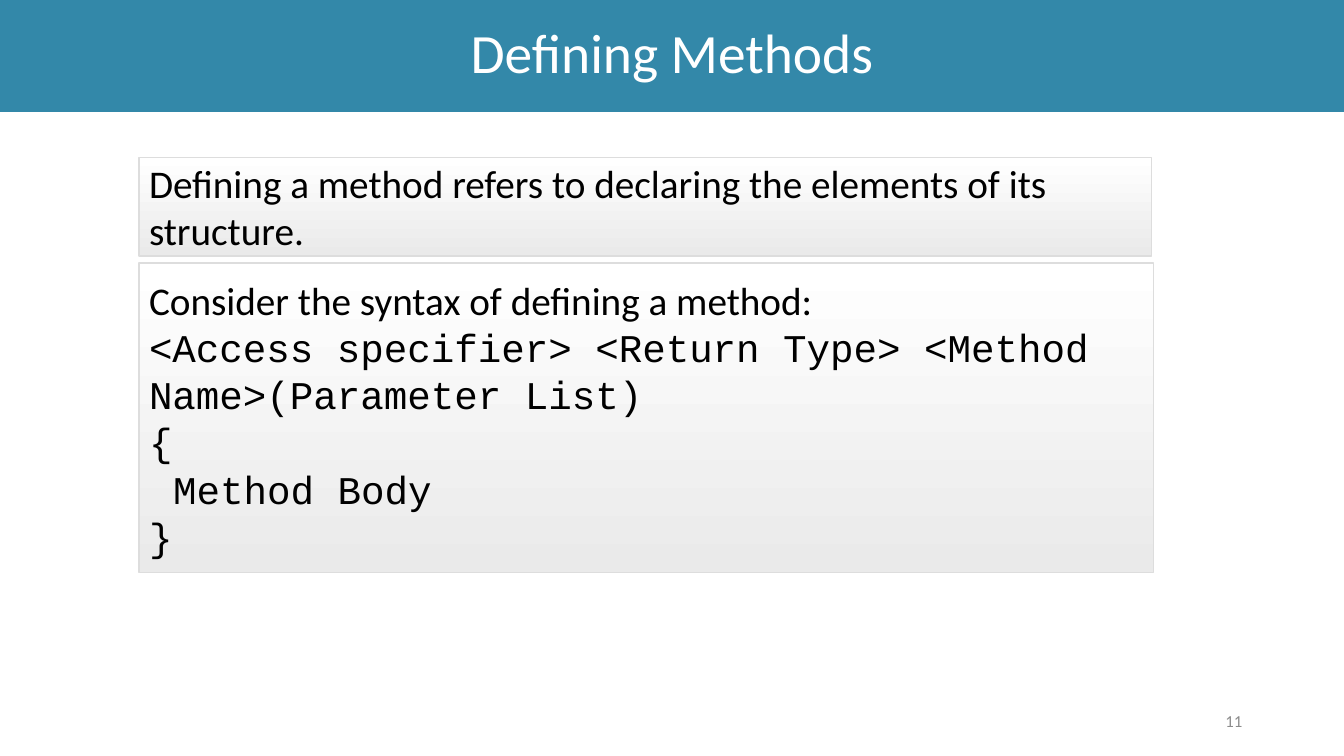
from lxml.etree import SubElement
from pptx import Presentation
from pptx.dml.color import RGBColor
from pptx.enum.shapes import MSO_SHAPE
from pptx.enum.text import MSO_ANCHOR, MSO_AUTO_SIZE, PP_ALIGN
from pptx.oxml.ns import qn
from pptx.util import Inches, Pt

SLIDE_WIDTH, SLIDE_HEIGHT = 13.33, 7.5
PANEL_LEFT = 1.38
TAB_STOPS = [0.24 + 0.49 * step for step in range(8)]
BODY_FONT, CODE_FONT = "Calibri", "Courier New"
SYNTAX = [
    "<Access specifier> <Return Type> <Method Name>(Parameter List)",
    "{",
    "\tMethod Body",
    "}",
]


def color(hex_value):
    return RGBColor.from_string(hex_value)


def place(shape, left, top, width, height):
    shape.left, shape.top = Inches(left), Inches(top)
    shape.width, shape.height = Inches(width), Inches(height)


def prepare_frame(shape):
    frame = shape.text_frame
    frame.word_wrap = True
    frame.auto_size = MSO_AUTO_SIZE.NONE
    frame.vertical_anchor = MSO_ANCHOR.MIDDLE
    return frame


def format_paragraph(paragraph, font_name, size, hex_value, alignment):
    paragraph.alignment = alignment
    for run in paragraph.runs:
        run.font.name = font_name
        run.font.size = Pt(size)
        run.font.color.rgb = color(hex_value)


def add_tab_stops(paragraph):
    tab_list = SubElement(paragraph._p.get_or_add_pPr(), qn("a:tabLst"))
    for position in TAB_STOPS:
        SubElement(tab_list, qn("a:tab"), pos=str(Inches(position)), algn="l")


def add_title_band(slide, text):
    title = slide.shapes.title
    place(title, 0, 0, SLIDE_WIDTH, 1.11)
    title.fill.solid()
    title.fill.fore_color.rgb = color("3388A9")
    frame = prepare_frame(title)
    frame.text = text
    paragraph = frame.paragraphs[0]
    paragraph.line_spacing = 0.9
    format_paragraph(paragraph, BODY_FONT, 39.6, "FFFFFF", PP_ALIGN.CENTER)


def add_panel(slide, top, width, height, lines):
    """Add a shaded panel; lines holds (text, font name) pairs."""
    panel = slide.shapes.add_shape(
        MSO_SHAPE.RECTANGLE,
        Inches(PANEL_LEFT), Inches(top), Inches(width), Inches(height))
    panel.shadow.inherit = False
    panel.fill.gradient()
    panel.fill.gradient_angle = 270
    for stop, shade in zip(panel.fill.gradient_stops, ("FFFFFF", "EAEAEA")):
        stop.color.rgb = color(shade)
    for stop, position in zip(panel.fill.gradient_stops, (0, 1)):
        stop.position = position
    panel.line.color.rgb = color("DDDDDD")
    panel.line.width = Pt(1)
    frame = prepare_frame(panel)
    for index, (text, font_name) in enumerate(lines):
        paragraph = frame.add_paragraph() if index else frame.paragraphs[0]
        paragraph.text = text
        add_tab_stops(paragraph)
        format_paragraph(paragraph, font_name, 28, "000000", PP_ALIGN.LEFT)


def add_page_number(slide, number):
    box = slide.shapes.add_textbox(
        Inches(9.42), Inches(6.95), Inches(3), Inches(0.4))
    frame = prepare_frame(box)
    frame.text = number
    format_paragraph(frame.paragraphs[0], BODY_FONT, 12, "8C8C8C", PP_ALIGN.RIGHT)


def main():
    presentation = Presentation()
    presentation.slide_width = Inches(SLIDE_WIDTH)
    presentation.slide_height = Inches(SLIDE_HEIGHT)
    slide = presentation.slides.add_slide(
        presentation.slide_layouts.get_by_name("Title Only"))
    add_title_band(slide, "Defining Methods")
    add_page_number(slide, "11")
    add_panel(slide, 1.56, 10.04, 0.98, [
        ("Defining a method refers to declaring the elements of its structure.",
         BODY_FONT)])
    add_panel(slide, 2.61, 10.06, 3.07, [
        ("Consider the syntax of defining a method:", BODY_FONT),
        *((line, CODE_FONT) for line in SYNTAX)])
    presentation.save("out.pptx")


if __name__ == "__main__":
    main()
